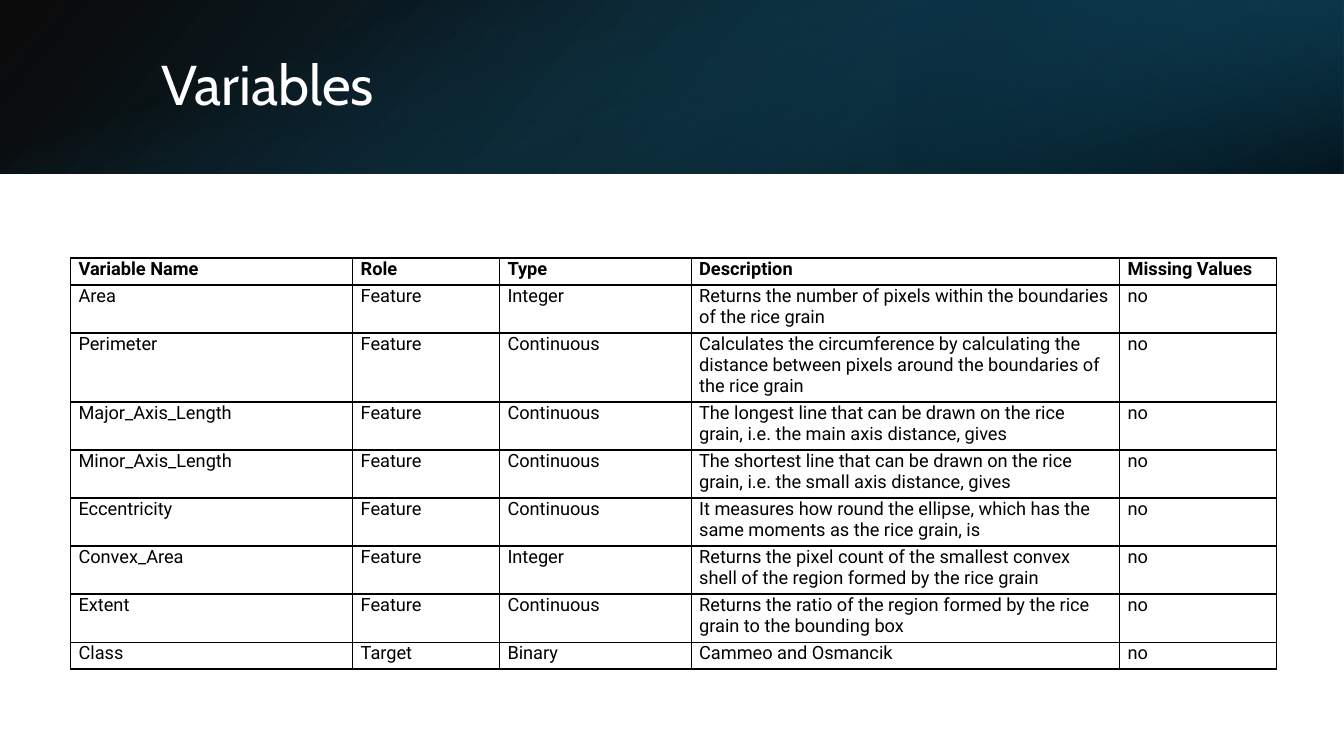
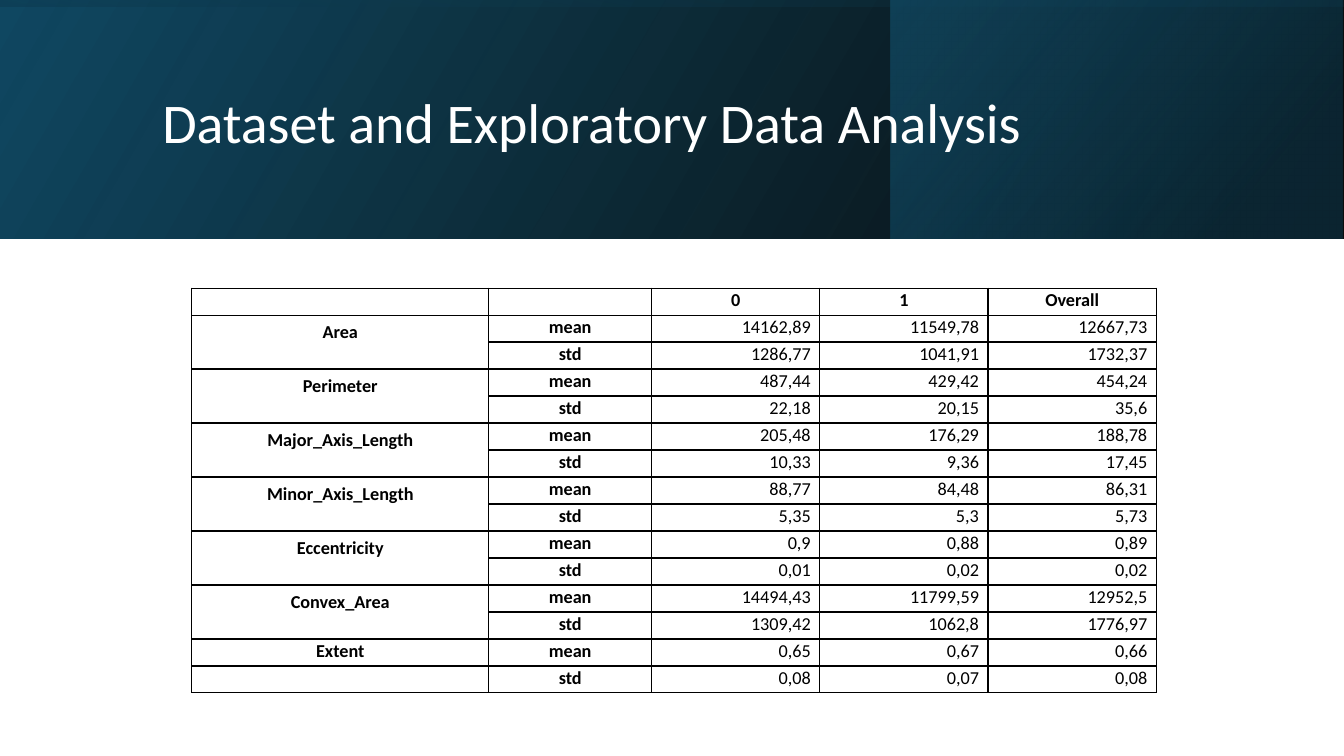
from lxml import etree
from pptx import Presentation
from pptx.dml.color import RGBColor
from pptx.enum.shapes import MSO_SHAPE
from pptx.enum.text import MSO_ANCHOR, PP_ALIGN
from pptx.oxml.ns import qn
from pptx.util import Cm, Pt

RECT = MSO_SHAPE.RECTANGLE
LEFT, MID, RIGHT = PP_ALIGN.LEFT, PP_ALIGN.CENTER, PP_ALIGN.RIGHT
CENTER = MSO_ANCHOR.MIDDLE
WIDE, HIGH = 33.87, 19.05
WHITE, BLACK = "FFFFFF", "000000"
NAVY, DEEP, TEAL = "104862", "0B3041", "156082"
BASE = [(0, BLACK, 96), (100, NAVY, 100)]


def color(code):
    return RGBColor.from_string(code)


class Deck:
    """Holds the shared style and the current slide."""

    def __init__(self):
        self.prs = Presentation()
        self.prs.slide_width, self.prs.slide_height = Cm(WIDE), Cm(HIGH)
        self.slide = None

    def page(self, font):
        self.font = font
        self.slide = self.prs.slides.add_slide(self.prs.slide_layouts[6])
        fill = self.slide.background.fill
        fill.solid()
        fill.fore_color.rgb = color(WHITE)

    def label(self, para, text, align=LEFT, **style):
        para.alignment = align
        run = para.add_run()
        run.text = text
        look = {"name": self.font, "size": Pt(13), "bold": False}
        tone = style.pop("tone", BLACK)
        for key, value in {**look, **style}.items():
            setattr(run.font, key, value)
        run.font.color.rgb = color(tone)

    def layer(self, high, stops, angle, left=0, wide=WIDE, turn=0, flip=True):
        """One gradient sheet of the title band; angle runs clockwise."""
        box = [left, 0, wide, high]
        if turn % 180:
            gap = (wide - high) / 2
            box = [left + gap, -gap, high, wide]
        shape = self.slide.shapes.add_shape(RECT, *map(Cm, box))
        shape.shadow.inherit = False
        shape.line.fill.background()
        shape.rotation = turn
        if flip:
            shape._element.spPr.xfrm.set("flipH", "1")
        shape.fill.gradient()
        shape.fill.gradient_angle = 360 - angle
        items = shape._element.spPr.find(".//" + qn("a:gsLst"))
        for old in list(items):
            items.remove(old)
        for pos, code, alpha in stops:
            stop = etree.SubElement(items, qn("a:gs"), pos=str(pos * 1000))
            tone = etree.SubElement(stop, qn("a:srgbClr"), val=code)
            etree.SubElement(tone, qn("a:alpha"), val=str(alpha * 1000))

    def band(self, high, layers):
        for sheet in layers:
            self.layer(high, **sheet)

    def title(self, text, font, box):
        frame = self.slide.shapes.add_textbox(*map(Cm, box)).text_frame
        frame.word_wrap = True
        frame.vertical_anchor = CENTER
        para = frame.paragraphs[0]
        para.line_spacing = 0.9
        self.label(para, text, name=font, size=Pt(40), tone=WHITE)

    def table(self, left, top, cols, rows):
        box = map(Cm, (left, top, sum(cols), sum(rows)))
        frame = self.slide.shapes.add_table(len(rows), len(cols), *box)
        grid = frame.table
        grid.first_row = grid.horz_banding = False
        for col, wide in zip(grid.columns, cols):
            col.width = Cm(wide)
        for row, high in zip(grid.rows, rows):
            row.height = Cm(high)
        return grid

    def cell(self, cell, text, side=0.2, edge=(0.02, 0), **style):
        margins = {"left": side, "right": side, "top": edge[0], "bottom": edge[1]}
        for key, value in margins.items():
            setattr(cell, "margin_" + key, Cm(value))
        # Borders come before the fill
        props = cell._tc.get_or_add_tcPr()
        for name in ("lnL", "lnR", "lnT", "lnB"):
            line = etree.SubElement(props, qn("a:" + name), w=str(Pt(1)))
            paint = etree.SubElement(line, qn("a:solidFill"))
            etree.SubElement(paint, qn("a:srgbClr"), val=BLACK)
        cell.fill.background()
        para = cell.text_frame.paragraphs[0]
        if text:
            self.label(para, text, **style)
        else:
            # Keep blank cells as low as the text rows
            etree.SubElement(para._p, qn("a:endParaRPr"), sz="1300")


HEADS = ["Variable Name", "Role", "Type", "Description", "Missing Values"]
FIELDS = [
    ("Area", "Feature", "Integer",
     "Returns the number of pixels within the boundaries of the rice grain"),
    ("Perimeter", "Feature", "Continuous",
     "Calculates the circumference by calculating the distance between pixels "
     "around the boundaries of the rice grain"),
    ("Major_Axis_Length", "Feature", "Continuous",
     "The longest line that can be drawn on the rice grain, i.e. the main axis "
     "distance, gives"),
    ("Minor_Axis_Length", "Feature", "Continuous",
     "The shortest line that can be drawn on the rice grain, i.e. the small axis "
     "distance, gives"),
    ("Eccentricity", "Feature", "Continuous",
     "It measures how round the ellipse, which has the same moments as the rice "
     "grain, is"),
    ("Convex_Area", "Feature", "Integer",
     "Returns the pixel count of the smallest convex shell of the region formed "
     "by the rice grain"),
    ("Extent", "Feature", "Continuous",
     "Returns the ratio of the region formed by the rice grain to the bounding box"),
    ("Class", "Target", "Binary", "Cammeo and Osmancik"),
]

# Each feature has its mean row, then its std row
STATS = {
    "Area": (["14162,89", "11549,78", "12667,73"], ["1286,77", "1041,91", "1732,37"]),
    "Perimeter": (["487,44", "429,42", "454,24"], ["22,18", "20,15", "35,6"]),
    "Major_Axis_Length": (["205,48", "176,29", "188,78"], ["10,33", "9,36", "17,45"]),
    "Minor_Axis_Length": (["88,77", "84,48", "86,31"], ["5,35", "5,3", "5,73"]),
    "Eccentricity": (["0,9", "0,88", "0,89"], ["0,01", "0,02", "0,02"]),
    "Convex_Area": (["14494,43", "11799,59", "12952,5"],
                    ["1309,42", "1062,8", "1776,97"]),
    "Extent": (["0,65", "0,67", "0,66"], ["0,08", "0,07", "0,08"]),
}


def fields(deck):
    deck.page("Roboto")
    deck.band(4.37, [
        {"stops": BASE, "angle": 140},
        {"stops": [(19, DEEP, 68), (100, TEAL, 79)], "angle": 320,
         "left": 22.58, "wide": 11.28, "turn": 180},
        {"stops": [(23, TEAL, 0), (99, BLACK, 74)], "angle": 340,
         "turn": 90, "flip": False},
    ])
    deck.title("Variables", "Cabin", (3.81, 0.97, 27.89, 2.44))
    # Row heights follow the number of text lines
    lines = [1, 2, 3, 2, 2, 2, 2, 2, 1]
    rows = [0.15 + 0.53 * count for count in lines]
    grid = deck.table(1.78, 6.5, [7.11, 3.7, 4.83, 10.8, 3.94], rows)
    data = [HEADS] + [[*field, "no"] for field in FIELDS]
    for r, row in enumerate(data):
        for c, text in enumerate(row):
            deck.cell(grid.cell(r, c), text, bold=r == 0)


def stats(deck):
    deck.page("Calibri")
    deck.band(6.02, [
        {"stops": BASE, "angle": 330},
        {"stops": [(19, DEEP, 68), (100, TEAL, 48)], "angle": 320,
         "left": 22.45, "wide": 11.38},
        {"stops": [(23, NAVY, 16), (99, BLACK, 45)], "angle": 350, "turn": 270},
    ])
    deck.title("Dataset and Exploratory Data Analysis", "Calibri",
               (3.84, 0.97, 27, 4.37))
    data = [["", "", "0", "1", "Overall"]]
    for name, (mean, std) in STATS.items():
        data += [[name, "mean", *mean], ["", "std", *std]]
    grid = deck.table(4.83, 7.26, [7.49, 4.1] + [4.24] * 3, [0.68] * len(data))
    for r, row in enumerate(data):
        for c, text in enumerate(row):
            value = r > 0 and c > 1
            style = {"side": 0.23, "align": RIGHT if value else MID,
                     "bold": not value}
            # All names but the last span both of their rows
            tall = c == 0 and text and r < len(data) - 2
            if tall:
                style.update(side=0.3, edge=(0.15, 0.15))
            deck.cell(grid.cell(r, c), text, **style)
            if tall:
                grid.cell(r, 0).merge(grid.cell(r + 1, 0))


def main():
    deck = Deck()
    fields(deck)
    stats(deck)
    deck.prs.save("out.pptx")


if __name__ == "__main__":
    main()
